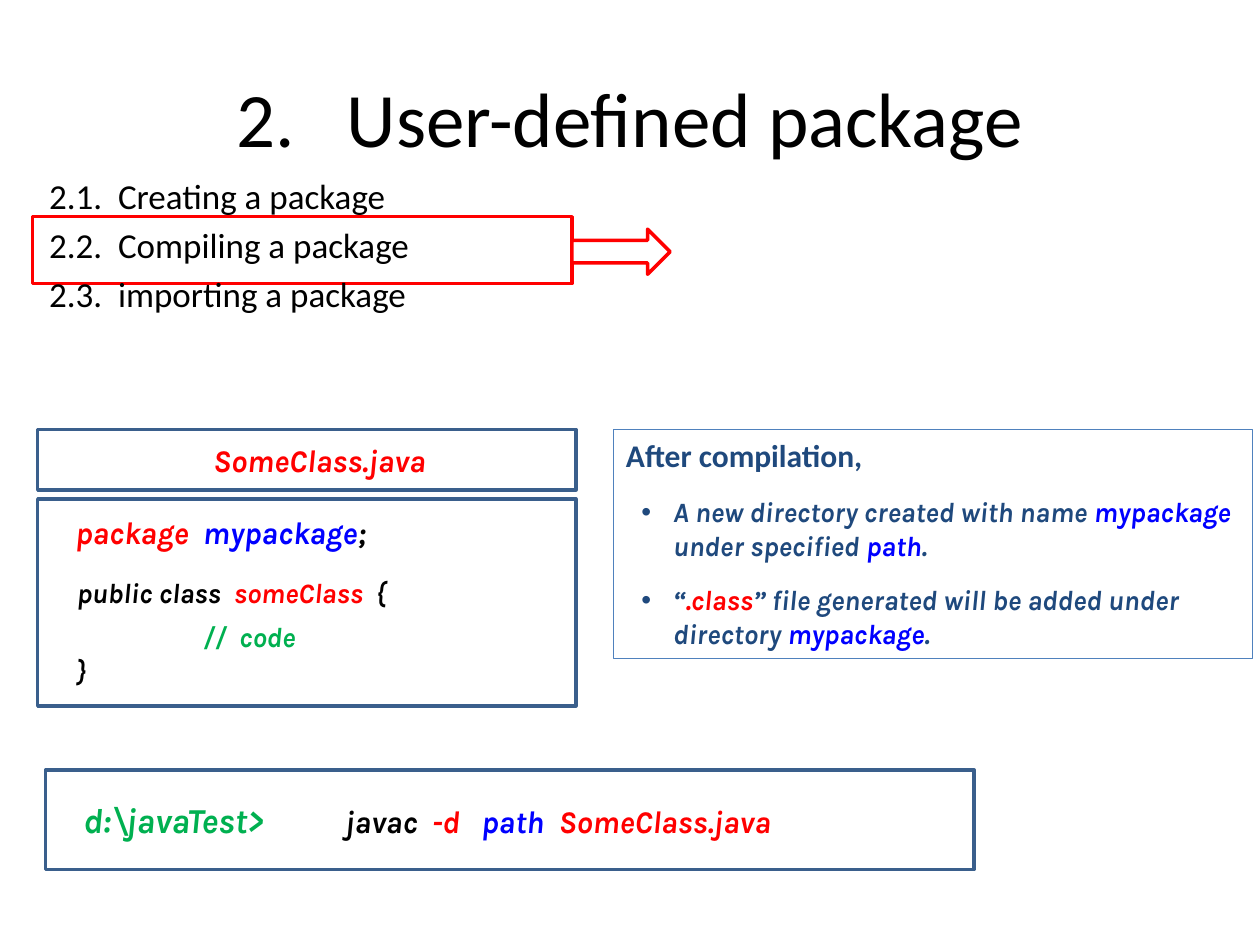
from dataclasses import dataclass
from typing import Optional

from lxml import etree
from pptx import Presentation
from pptx.dml.color import RGBColor
from pptx.enum.shapes import MSO_SHAPE
from pptx.enum.text import MSO_ANCHOR, PP_ALIGN
from pptx.oxml.ns import qn
from pptx.util import Cm, Pt

RECTANGLE, ARROW = MSO_SHAPE.RECTANGLE, MSO_SHAPE.RIGHT_ARROW
TOP, MIDDLE = MSO_ANCHOR.TOP, MSO_ANCHOR.MIDDLE
LEFT, CENTER = PP_ALIGN.LEFT, PP_ALIGN.CENTER

BLACK, WHITE, RED, BLUE = "000000", "FFFFFF", "FF0000", "0000FF"
GREEN, NAVY, STEEL, SKY = "00B050", "1F497D", "3A5F8C", "4F81BD"
HEADING, CODE = "Calibri", "Karla"
PLAIN_INSETS = (0.25, 0.13, 0.25, 0.13)
PANEL_INSETS = (0.76, 0.13, 0.25, 0.13)


@dataclass
class Line:
    spans: list[tuple[str, str]]
    size: float
    font: str = CODE
    bold: bool = True
    italic: bool = True
    before: float = 0
    align: PP_ALIGN = LEFT
    margin: float = 0
    indent: float = 0
    bullet: bool = False


@dataclass
class Area:
    left: float
    top: float
    width: float
    height: float
    lines: list[Line]
    kind: Optional[MSO_SHAPE] = None
    border: str = STEEL
    weight: float = 2
    anchor: MSO_ANCHOR = TOP
    insets: tuple[float, float, float, float] = PLAIN_INSETS
    wrap: bool = True


def color(value: str) -> RGBColor:
    return RGBColor.from_string(value)


def write_line(para, line: Line) -> None:
    para.alignment = line.align
    para.space_before = Pt(line.before)
    properties = para._p.get_or_add_pPr()
    properties.set("marL", str(Cm(line.margin)))
    properties.set("indent", str(Cm(line.indent)))
    if line.bullet:
        para.level = 1
        etree.SubElement(properties, qn("a:buFont"), typeface="Arial")
        etree.SubElement(properties, qn("a:buChar"), char="•")
    for text, tint in line.spans:
        span = para.add_run()
        span.text = text
        span.font.name = line.font
        span.font.size = Pt(line.size)
        span.font.bold = line.bold
        span.font.italic = line.italic
        span.font.color.rgb = color(tint)


def draw_area(slide, area: Area) -> None:
    place = [Cm(n) for n in (area.left, area.top, area.width, area.height)]
    if area.kind is None:
        box = slide.shapes.add_textbox(*place)
    else:
        box = slide.shapes.add_shape(area.kind, *place)
        box.shadow.inherit = False
        box.fill.solid()
        box.fill.fore_color.rgb = color(WHITE)
        box.line.color.rgb = color(area.border)
        box.line.width = Pt(area.weight)
    frame = box.text_frame
    frame.word_wrap = area.wrap
    frame.vertical_anchor = area.anchor
    (frame.margin_left, frame.margin_top,
     frame.margin_right, frame.margin_bottom) = [Cm(n) for n in area.insets]
    for index, line in enumerate(area.lines):
        para = frame.add_paragraph() if index else frame.paragraphs[0]
        write_line(para, line)


def topic(text: str) -> Line:
    return Line([(text, BLACK)], 20, HEADING, False, False, before=4,
                margin=0.95, indent=-0.95)


def result(*spans: tuple[str, str]) -> Line:
    return Line(list(spans), 16, before=12, margin=0.95, indent=-0.64, bullet=True)


TOPICS = ["2.1.  Creating a package", "2.2.  Compiling a package",
          "2.3.  importing a package"]

AREAS = [
    Area(0.66, 4.37, 10.87, 1.35, [], RECTANGLE, RED),
    Area(11.53, 4.62, 1.98, 0.91, [], ARROW, RED),
    Area(0.74, 3.38, 23.47, 4.11, [topic(text) for text in TOPICS]),
    Area(1.27, 0.76, 22.86, 3.18, [
        Line([("2.   User-defined package", BLACK)], 44, HEADING, False, False,
             align=CENTER),
    ], anchor=MIDDLE),
    Area(12.37, 8.66, 12.88, 4.62, [
        Line([("After compilation,", NAVY)], 18, HEADING, italic=False, before=12,
             margin=0.64, indent=-0.64),
        result(("A new directory created with name ", NAVY), ("mypackage", BLUE),
               (" under specified ", NAVY), ("path", BLUE), (".", NAVY)),
        result(("“", NAVY), (".class", RED),
               ("” file generated will be added under directory ", NAVY),
               ("mypackage", BLUE), (".", NAVY)),
    ], RECTANGLE, SKY, 0.75),
    Area(0.92, 15.52, 18.72, 2.01, [
        Line([(r"d:\javaTest>", GREEN)], 20),
    ], RECTANGLE, anchor=MIDDLE, insets=PANEL_INSETS),
    Area(6.71, 16.03, 10.26, 1.02, [
        Line([("javac", BLACK), ("  -d   ", RED), ("path", BLUE),
              ("  SomeClass.java", RED)], 18),
    ], wrap=False),
    Area(0.76, 10.06, 10.85, 4.17, [
        Line([("package  ", RED), ("mypackage", BLUE), (";", BLACK)], 18, before=6),
    ], RECTANGLE, insets=(0.76, 0.28, 0.25, 0.13)),
    Area(0.76, 8.66, 10.85, 1.22, [
        Line([("SomeClass.java", RED)], 18, align=CENTER),
    ], RECTANGLE, anchor=MIDDLE, insets=PANEL_INSETS),
    Area(1.3, 11.48, 9.19, 2.62, [
        Line([("public class  ", BLACK), ("someClass", RED), ("  {", BLACK)], 16,
             before=12),
        Line([("//  code", GREEN)], 16, before=6, margin=2.54),
        Line([("}", BLACK)], 16),
    ]),
]


def main() -> None:
    deck = Presentation()
    deck.slide_width, deck.slide_height = Cm(25.4), Cm(19.05)
    slide = deck.slides.add_slide(deck.slide_layouts[6])
    for area in AREAS:
        draw_area(slide, area)
    deck.save("out.pptx")


if __name__ == "__main__":
    main()
